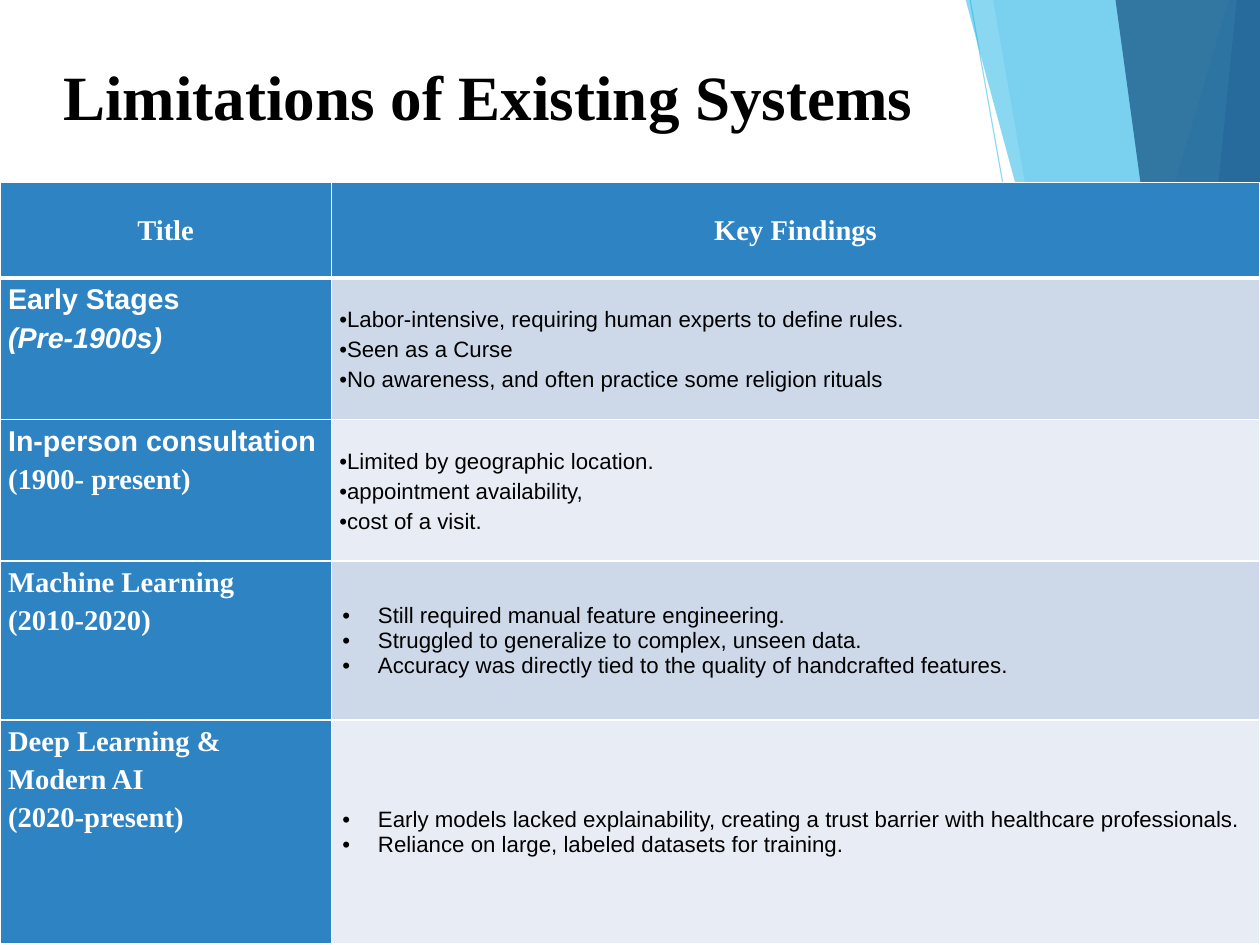
from lxml.etree import SubElement
from pptx import Presentation
from pptx.dml.color import RGBColor
from pptx.enum.shapes import MSO_CONNECTOR
from pptx.enum.text import MSO_ANCHOR, PP_ALIGN
from pptx.oxml.ns import qn
from pptx.util import Cm, Pt

WHITE = RGBColor(0xFF, 0xFF, 0xFF)
BLACK = RGBColor(0x00, 0x00, 0x00)
SKY = RGBColor(0x5F, 0xCB, 0xEF)
CYAN = RGBColor(0x17, 0xB0, 0xE4)
BLUE = RGBColor(0x2E, 0x83, 0xC3)
NAVY = RGBColor(0x23, 0x62, 0x92)
BAND_DARK = RGBColor(0xCD, 0xD9, 0xE9)
BAND_LIGHT = RGBColor(0xE8, 0xED, 0xF5)
SERIF = "Times New Roman"
SANS = "Arial"
WIDTH, HEIGHT = Cm(28), Cm(21)


def set_alpha(properties, percent):
    color = next(properties.iter(qn("a:srgbClr")))
    SubElement(color, qn("a:alpha"), val=str(percent * 1000))


def write_lines(cell, lines, color, align, spacing=None, bullet_margin=None):
    frame = cell.text_frame
    for index, (text, values) in enumerate(lines):
        paragraph = frame.paragraphs[0] if index == 0 else frame.add_paragraph()
        if bullet_margin is not None:
            properties = paragraph._p.get_or_add_pPr()
            properties.set("marL", str(bullet_margin))
            properties.set("indent", str(-Cm(0.79)))
            bullet_color = SubElement(properties, qn("a:buClr"))
            SubElement(bullet_color, qn("a:srgbClr"), val=str(BLACK))
            SubElement(properties, qn("a:buFont"), typeface=SANS)
            SubElement(properties, qn("a:buChar"), char="•")
        paragraph.alignment = align
        if spacing:
            paragraph.line_spacing = spacing
        run = paragraph.add_run()
        run.text = text
        run.font.color.rgb = color
        for name, value in values.items():
            setattr(run.font, name, value)


presentation = Presentation()
presentation.slide_width, presentation.slide_height = WIDTH, HEIGHT
slide = presentation.slides.add_slide(presentation.slide_layouts[6])

ray = slide.shapes.add_connector(MSO_CONNECTOR.STRAIGHT, Cm(21.56), 0, Cm(25.3), HEIGHT)
ray.line.color.rgb = SKY
ray.line.width = Pt(0.75)
set_alpha(ray._element.spPr, 70)
SubElement(ray._element.spPr, qn("a:effectLst"))

facets = [
    (27.31, 21.11, SKY, 36),
    (22.07, 25.73, SKY, 20),
    (21.46, 27.15, CYAN, 50),
    (27.48, 25.4, BLUE, 70),
    (24.79, 27.66, NAVY, 82),
]
for top_left, bottom_left, color, opacity in facets:
    builder = slide.shapes.build_freeform(Cm(top_left), 0)
    builder.add_line_segments([(Cm(bottom_left), HEIGHT), (WIDTH, HEIGHT), (WIDTH, 0)], close=True)
    facet = builder.convert_to_shape()
    facet.shadow.inherit = False
    facet.fill.solid()
    facet.fill.fore_color.rgb = color
    set_alpha(facet._element.spPr, opacity)
    facet.line.fill.background()

title = slide.shapes.add_textbox(Cm(1.16), Cm(1.15), Cm(19.9), Cm(2.2))
title.text_frame.word_wrap = True
heading = {"name": SERIF, "size": Pt(39.7), "bold": True}
write_lines(title, [("Limitations of Existing Systems", heading)], BLACK, PP_ALIGN.LEFT)

serif_bold = {"name": SERIF, "size": Pt(18), "bold": True}
sans_bold = {"name": SANS, "size": Pt(18), "bold": True}
sans_italic = {**sans_bold, "italic": True}
body = {"name": SANS, "size": Pt(14), "bold": False}

eras = [
    ([("Early Stages", sans_bold), ("(Pre-1900s)", sans_italic)],
     ["Labor-intensive, requiring human experts to define rules.",
      "Seen as a Curse",
      "No awareness, and often practice some religion rituals"]),
    ([("In-person consultation", sans_bold), ("(1900- present)", serif_bold)],
     ["Limited by geographic location.",
      "appointment availability,",
      "cost of a visit."]),
    ([("Machine Learning", serif_bold), ("(2010-2020)", serif_bold)],
     ["Still required manual feature engineering.",
      "Struggled to generalize to complex, unseen data.",
      "Accuracy was directly tied to the quality of handcrafted features."]),
    ([("Deep Learning &", serif_bold), ("Modern AI", serif_bold), ("(2020-present)", serif_bold)],
     ["Early models lacked explainability, creating a trust barrier with healthcare professionals.",
      "Reliance on large, labeled datasets for training."]),
]

row_heights = [2.11, 3.15, 3.15, 3.53, 4.98]
table = slide.shapes.add_table(5, 2, 0, Cm(4.06), WIDTH, Cm(sum(row_heights))).table
for column, width in zip(table.columns, (7.36, 20.64)):
    column.width = Cm(width)
for row, height in zip(table.rows, row_heights):
    row.height = Cm(height)

for row_index in range(5):
    for column_index in range(2):
        cell = table.cell(row_index, column_index)
        cell.margin_left = cell.margin_right = Cm(0.18)
        cell.margin_top = cell.margin_bottom = 0
        for side in ("L", "R", "T", "B"):
            thick = (row_index, side) in ((0, "B"), (1, "T"))
            border = SubElement(cell._tc.get_or_add_tcPr(), qn("a:ln" + side), w=str(Pt(3 if thick else 1)))
            SubElement(SubElement(border, qn("a:solidFill")), qn("a:srgbClr"), val=str(WHITE))
        cell.fill.solid()
        band = BAND_DARK if row_index % 2 else BAND_LIGHT
        cell.fill.fore_color.rgb = BLUE if row_index == 0 or column_index == 0 else band

for cell, label in zip(table.rows[0].cells, ("Title", "Key Findings")):
    cell.vertical_anchor = MSO_ANCHOR.MIDDLE
    write_lines(cell, [(label, serif_bold)], WHITE, PP_ALIGN.CENTER, 1.07)

for row_index, (era, findings) in enumerate(eras, start=1):
    era_cell, findings_cell = table.rows[row_index].cells
    write_lines(era_cell, era, WHITE, PP_ALIGN.JUSTIFY, 1.2)
    lines = [(finding, body) for finding in findings]
    if row_index <= 2:
        findings_cell.margin_top = Cm(0.55)
        write_lines(findings_cell, lines, BLACK, PP_ALIGN.JUSTIFY, 1.2, 0)
    else:
        findings_cell.vertical_anchor = MSO_ANCHOR.MIDDLE
        findings_cell.margin_left = findings_cell.margin_right = Cm(0.25)
        write_lines(findings_cell, lines, BLACK, PP_ALIGN.LEFT, None, Cm(0.79))

presentation.save("out.pptx")
